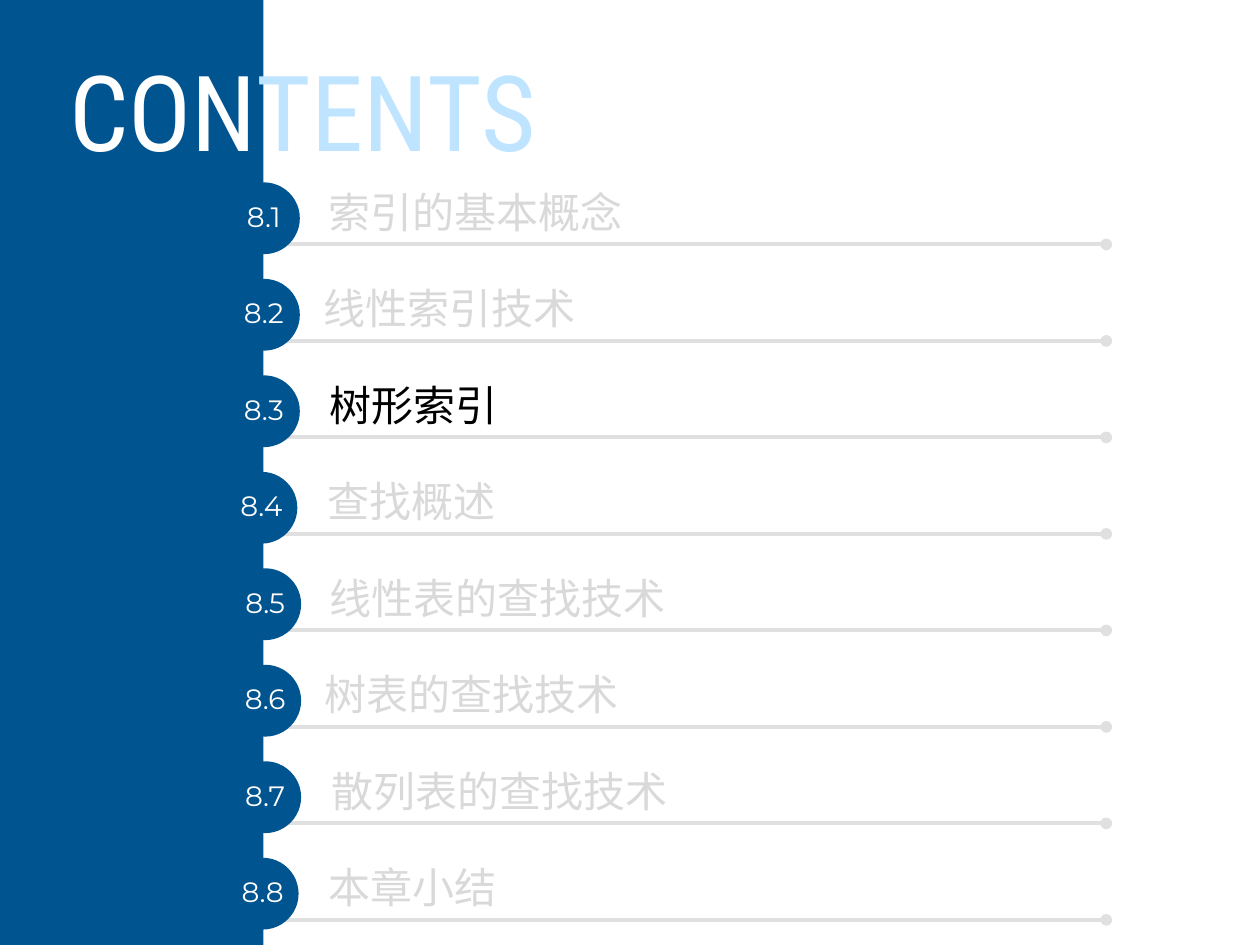
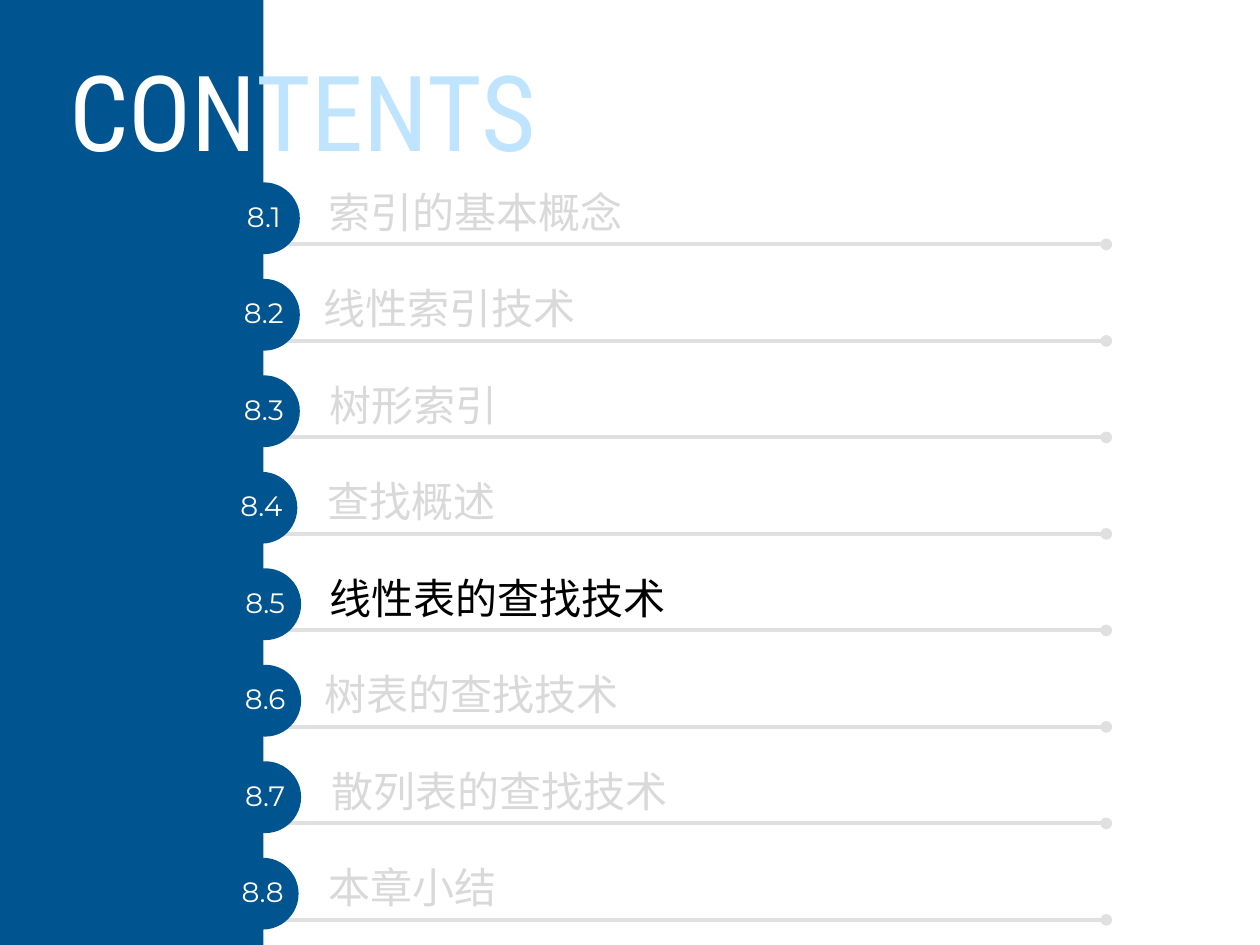
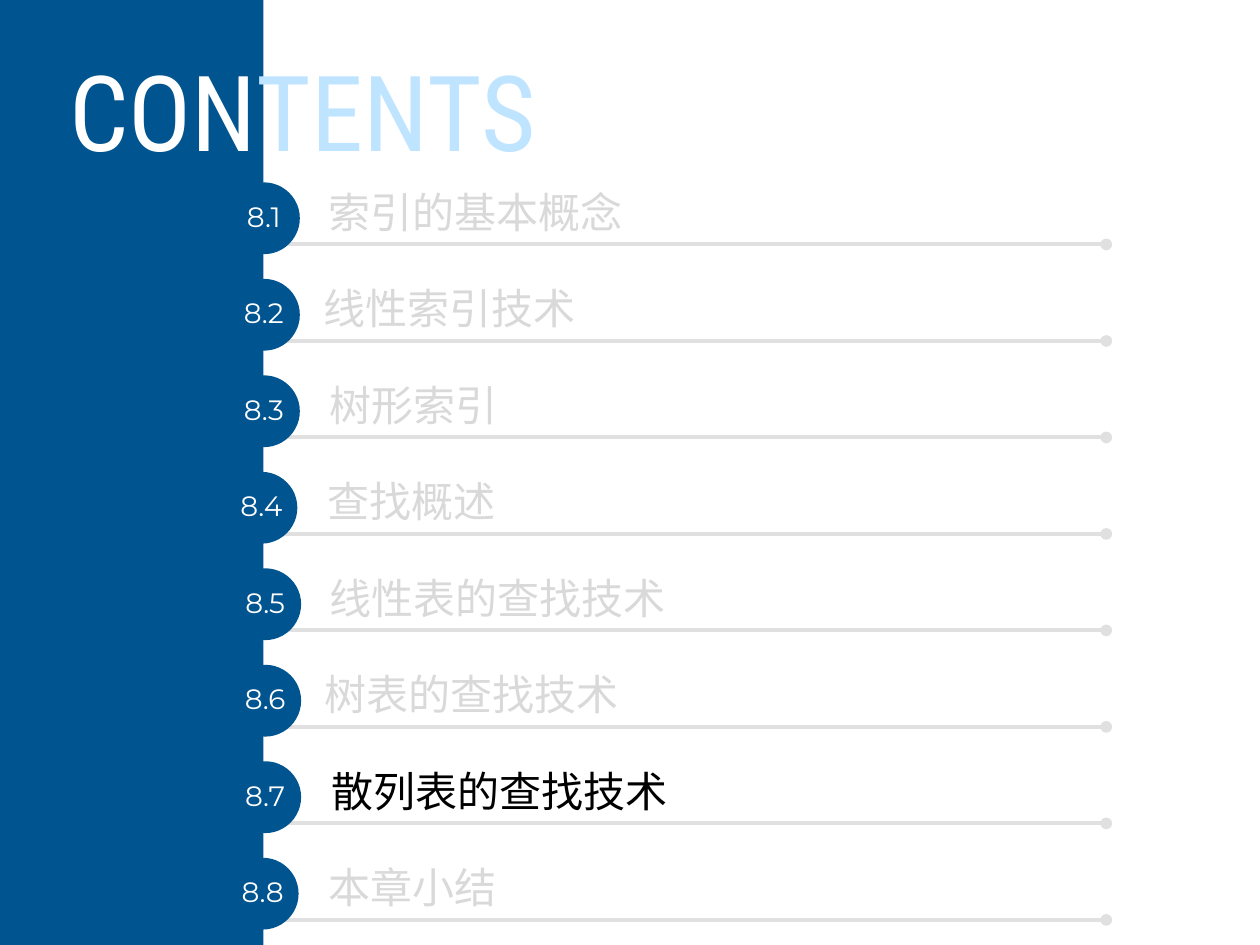
"""Builds three contents slides, each with one section highlighted."""
from lxml import etree
from pptx import Presentation
from pptx import util as u
from pptx.dml.color import RGBColor
from pptx.enum import shapes, text
from pptx.oxml.ns import qn

BLUE, PALE_BLUE, WHITE, BLACK = "005490", "BFE4FF", "FFFFFF", "000000"
RULE_GREY, TEXT_GREY = "E0E0E0", "D9D9D9"
TITLE_FONT, NUMBER_FONT, LABEL_FONT = "Roboto Condensed", "Montserrat", "Noto Sans CJK JP"

BAND_COLS, RULE_END = 20.9, 87.8
FIRST_BADGE, FIRST_LABEL, FIRST_RULE, PITCH = 19.3, 20.05, 25.87, 10.21
BADGE_COLS, BADGE_ROWS, LABEL_ROWS = 5.7, 7.6, 5.33

SECTIONS = [
    ("8.1", "索引的基本概念", 18.1, 25.1, 47.7),
    ("8.2", "线性索引技术", 18.1, 24.7, 48.1),
    ("8.3", "树形索引", 18.1, 25.2, 43.1),
    ("8.4", "查找概述", 17.9, 25, 43.1),
    ("8.5", "线性表的查找技术", 18.2, 25.2, 45.2),
    ("8.6", "树表的查找技术", 18.2, 24.8, 51.2),
    ("8.7", "散列表的查找技术", 18.2, 25.3, 43.1),
    ("8.8", "本章小结", 18, 25.1, 43.1),
]
HIGHLIGHTS = ["8.3", "8.5", "8.7"]


def rgb(value):
    """Return the colour for a hex string."""
    return RGBColor.from_string(value)


class Deck:
    """Draws on the current slide, on a grid of 100 columns and 100 rows."""

    def __init__(self):
        """Open an empty 10 by 7.5 inch presentation."""
        self.prs = Presentation()
        self.prs.slide_width, self.prs.slide_height = u.Inches(10), u.Inches(7.5)
        self.s = None

    def new_slide(self):
        """Start a blank slide."""
        self.s = self.prs.slides.add_slide(self.prs.slide_layouts[6])

    def grid(self, *cells):
        """Turn alternating columns and rows into lengths."""
        sides = (self.prs.slide_width, self.prs.slide_height)
        return [u.Emu(round(c * sides[i % 2] / 100)) for i, c in enumerate(cells)]

    def shape(self, kind, *box):
        """Add a plain blue shape."""
        sp = self.s.shapes.add_shape(kind, *self.grid(*box))
        sp.shadow.inherit = False
        sp.fill.solid()
        sp.fill.fore_color.rgb = rgb(BLUE)
        sp.line.fill.background()
        return sp

    def set_text(self, sp, runs, font, size, align):
        """Set one paragraph of (wording, colour) runs, centred vertically."""
        tf = sp.text_frame
        tf.word_wrap = True
        tf.vertical_anchor = text.MSO_ANCHOR.MIDDLE
        p = tf.paragraphs[0]
        p.alignment, p.line_spacing = align, 0.9
        p.font.name, p.font.size = font, u.Pt(size)
        etree.SubElement(p.font._element, qn("a:ea"), typeface=font)
        for wording, colour in runs:
            r = p.add_run()
            r.text = wording
            r.font.color.rgb = rgb(colour)

    def textbox(self, box, runs, font, size, align=text.PP_ALIGN.LEFT):
        """Add a text box."""
        sp = self.s.shapes.add_textbox(*self.grid(*box))
        self.set_text(sp, runs, font, size, align)

    def badge(self, left, top, number):
        """Add a numbered circle."""
        sp = self.shape(shapes.MSO_SHAPE.OVAL, left, top, BADGE_COLS, BADGE_ROWS)
        tf = sp.text_frame
        tf.margin_left = tf.margin_right = tf.margin_top = tf.margin_bottom = 0
        self.set_text(sp, [(number, WHITE)], NUMBER_FONT, 16, text.PP_ALIGN.CENTER)

    def rule(self, row):
        """Add a grey line with round ends under a section."""
        ends = self.grid(BAND_COLS, row, RULE_END, row)
        c = self.s.shapes.add_connector(shapes.MSO_CONNECTOR.STRAIGHT, *ends)
        c.line.color.rgb, c.line.width = rgb(RULE_GREY), u.Pt(2.25)
        ln = c._element.spPr.find(qn("a:ln"))
        for end in ("a:headEnd", "a:tailEnd"):
            etree.SubElement(ln, qn(end), type="oval")
        etree.SubElement(c._element.spPr, qn("a:effectLst"))

    def contents(self, current):
        """Add a contents slide with the current section in black."""
        self.new_slide()
        for i in range(len(SECTIONS)):
            self.rule(FIRST_RULE + i * PITCH)
        self.shape(shapes.MSO_SHAPE.RECTANGLE, 0, 0, BAND_COLS, 100)
        self.textbox((-0.4, 4.67, 48.8, 15.47), [("CON", WHITE), ("TENTS", PALE_BLUE)],
                     TITLE_FONT, 60, text.PP_ALIGN.CENTER)
        for i, (number, label, badge_left, label_left, cols) in enumerate(SECTIONS):
            self.badge(badge_left, FIRST_BADGE + i * PITCH, number)
            colour = BLACK if number == current else TEXT_GREY
            self.textbox((label_left, FIRST_LABEL + i * PITCH, cols, LABEL_ROWS),
                         [(label, colour)], LABEL_FONT, 24)


def main():
    """Build and save the slides."""
    deck = Deck()
    for current in HIGHLIGHTS:
        deck.contents(current)
    deck.prs.save("out.pptx")


if __name__ == "__main__":
    main()
